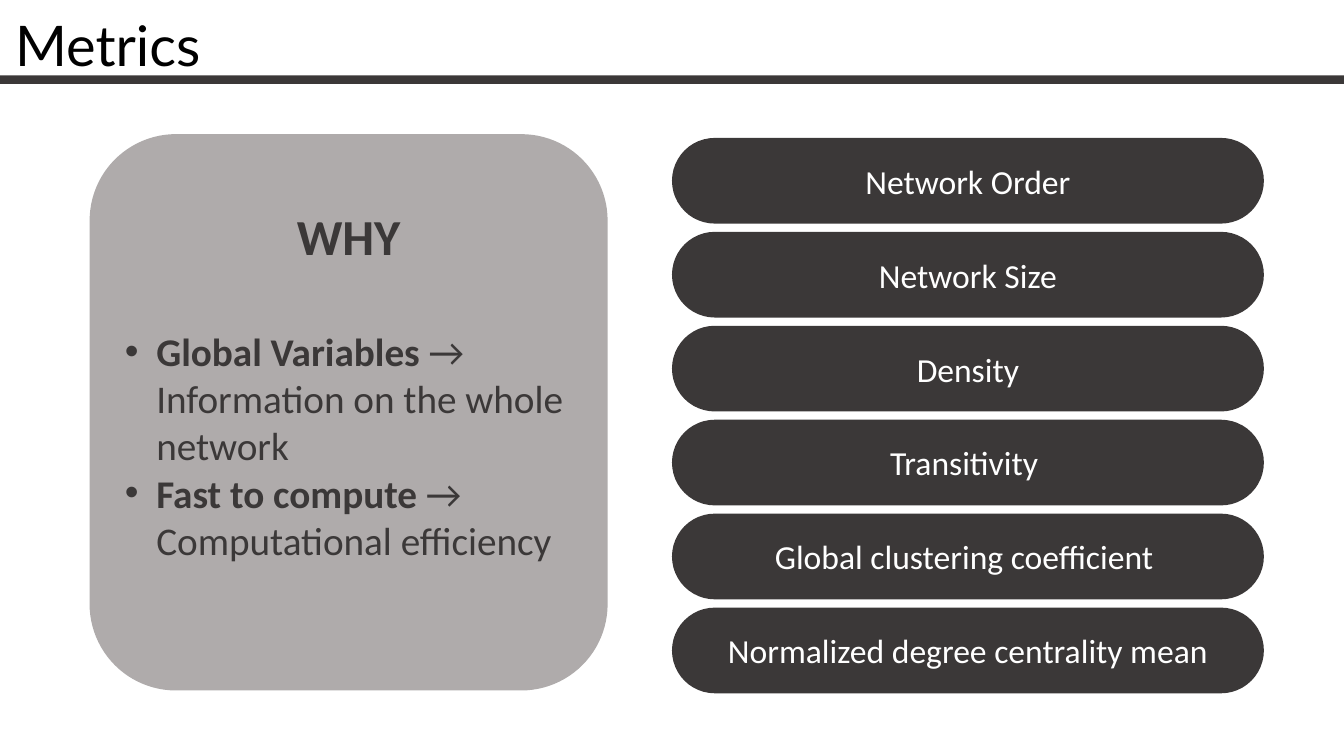
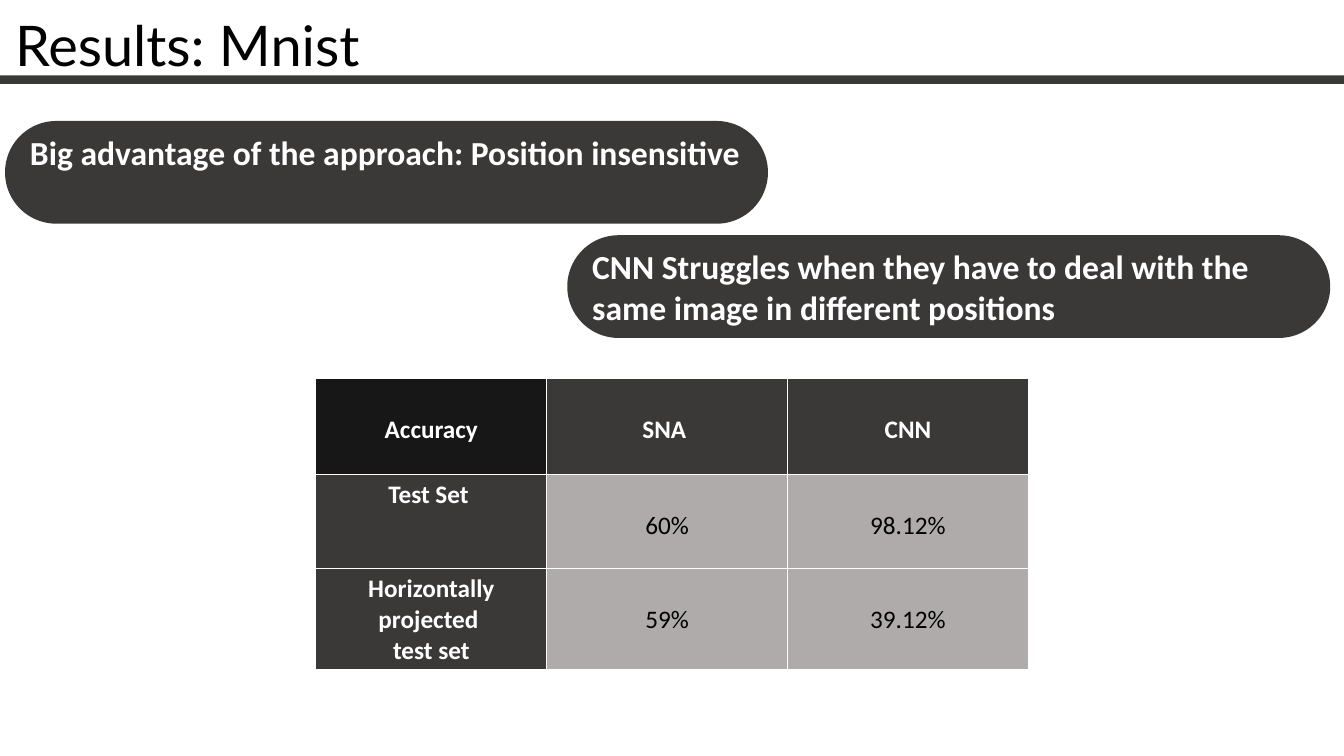
from dataclasses import dataclass

from lxml import etree
from pptx import Presentation
from pptx.dml.color import RGBColor
from pptx.enum import shapes, text
from pptx.oxml import ns
from pptx.util import Pt


@dataclass(frozen=True)
class Theme:
    dark: str = "3B3838"
    darkest: str = "181717"
    grey: str = "AFABAB"
    white: str = "FFFFFF"
    black: str = "000000"
    title_font: str = "Lato"
    body_font: str = "Calibri"
    title_size: int = 40
    heading_size: int = 36
    bullet_size: int = 28
    pill_size: int = 24
    table_size: int = 18
    inset: float = 3.6
    table_line: float = 22


THEME = Theme()
LEFT = text.PP_ALIGN.LEFT
CENTER = text.PP_ALIGN.CENTER


def rgb(value):
    return RGBColor.from_string(value)


def add_words(paragraph, words, size, color, bold=False, font=THEME.body_font):
    for index, line in enumerate(words.split("\n")):
        if index:
            paragraph.add_line_break()
        run = paragraph.add_run()
        run.text = line
        run.font.name = font
        run.font.size = Pt(size)
        run.font.bold = bold
        run.font.color.rgb = rgb(color)


def add_block(slide, kind, left, top, width, height, color):
    block = slide.shapes.add_shape(kind, Pt(left), Pt(top), Pt(width), Pt(height))
    block.shadow.inherit = False
    block.fill.solid()
    block.fill.fore_color.rgb = rgb(color)
    block.line.fill.background()
    block.text_frame.word_wrap = True
    block.text_frame.vertical_anchor = text.MSO_ANCHOR.MIDDLE
    return block


def add_titled_slide(deck, heading, width):
    slide = deck.slides.add_slide(deck.slide_layouts.get_by_name("Title Only"))
    add_block(slide, shapes.MSO_SHAPE.RECTANGLE, 0, 53.9, 960, 6, THEME.dark)
    title = slide.shapes.title
    title.left, title.top = Pt(3.6), Pt(3.6)
    title.width, title.height = Pt(width), Pt(55.4)
    frame = title.text_frame
    frame.word_wrap = False
    frame.auto_size = text.MSO_AUTO_SIZE.SHAPE_TO_FIT_TEXT
    frame.vertical_anchor = text.MSO_ANCHOR.TOP
    paragraph = frame.paragraphs[0]
    paragraph.alignment = LEFT
    add_words(paragraph, heading, THEME.title_size, THEME.black, font=THEME.title_font)
    return slide


def add_pill(slide, words, left, top, width, height, align=CENTER, bold=False, lift=0):
    pill = add_block(slide, shapes.MSO_SHAPE.ROUNDED_RECTANGLE,
                     left, top, width, height, THEME.dark)
    pill.adjustments[0] = 0.5
    pill.text_frame.margin_bottom = Pt(THEME.inset + lift)
    paragraph = pill.text_frame.paragraphs[0]
    paragraph.alignment = align
    add_words(paragraph, words, THEME.pill_size, THEME.white, bold)


def set_bullet(paragraph, indent):
    properties = paragraph._p.get_or_add_pPr()
    properties.set("marL", str(Pt(indent)))
    properties.set("indent", str(-Pt(indent)))
    etree.SubElement(properties, ns.qn("a:buFont"), typeface="Arial")
    etree.SubElement(properties, ns.qn("a:buChar"), char="•")


def add_reasons(slide, heading, reasons):
    panel = add_block(slide, shapes.MSO_SHAPE.ROUNDED_RECTANGLE,
                      64, 95.8, 370, 397.4, THEME.grey)
    frame = panel.text_frame
    frame.margin_bottom = Pt(THEME.inset + 40)
    top_line = frame.paragraphs[0]
    top_line.alignment = CENTER
    top_line.space_after = Pt(44)
    add_words(top_line, heading, THEME.heading_size, THEME.dark, True)
    for reason, benefit in reasons:
        paragraph = frame.add_paragraph()
        paragraph.alignment = LEFT
        set_bullet(paragraph, 22.5)
        add_words(paragraph, reason, THEME.bullet_size, THEME.dark, True)
        add_words(paragraph, benefit, THEME.bullet_size, THEME.dark)


def set_borders(cell, color):
    properties = cell._tc.get_or_add_tcPr()
    for side in ("lnL", "lnR", "lnT", "lnB"):
        border = etree.SubElement(properties, ns.qn(f"a:{side}"), w=str(Pt(1)))
        fill = etree.SubElement(border, ns.qn("a:solidFill"))
        etree.SubElement(fill, ns.qn("a:srgbClr"), val=color)


def fill_cell(cell, words, fill, color, bold, lowered):
    set_borders(cell, THEME.white)
    cell.fill.solid()
    cell.fill.fore_color.rgb = rgb(fill)
    cell.margin_top = Pt(THEME.inset + (THEME.table_line if lowered else 0))
    paragraph = cell.text_frame.paragraphs[0]
    paragraph.alignment = CENTER
    add_words(paragraph, words, THEME.table_size, color, bold)


def add_accuracy_table(slide, rows):
    widths, heights = (165, 172, 172), (68.8, 67, 67)
    table = slide.shapes.add_table(len(rows), len(widths), Pt(225.6), Pt(270.4),
                                   Pt(sum(widths)), Pt(sum(heights))).table
    for column, width in zip(table.columns, widths):
        column.width = Pt(width)
    for row, height in zip(table.rows, heights):
        row.height = Pt(height)
    for r, row in enumerate(rows):
        for c, words in enumerate(row):
            heading = r == 0 or c == 0
            fill = THEME.dark if heading else THEME.grey
            if r == c == 0:
                fill = THEME.darkest
            color = THEME.white if heading else THEME.black
            fill_cell(table.cell(r, c), words, fill, color, heading, r == 0 or c > 0)


def build_metrics(deck):
    slide = add_titled_slide(deck, "Metrics", 151.2)
    metrics = ("Network Order", "Network Size", "Density", "Transitivity ",
               "Global clustering coefficient ", "Normalized degree centrality mean")
    for index, metric in enumerate(metrics):
        add_pill(slide, metric, 480, 98.5 + index * 67.1, 422.8, 61.2)
    add_reasons(slide, "WHY", (
        ("Global Variables ", "→ Information on the whole network"),
        ("Fast to compute ", "→ \nComputational efficiency "),
    ))


def build_results(deck):
    slide = add_titled_slide(deck, "Results: Mnist", 272.9)
    claims = (
        ("Big advantage of the approach: Position insensitive", 3.6, 86.4, 29),
        ("CNN Struggles when they have to deal with the same image in different positions",
         405.2, 168, 0),
    )
    for claim, left, top, lift in claims:
        add_pill(slide, claim, left, top, 545, 73.4, LEFT, True, lift)
    add_accuracy_table(slide, (
        ("Accuracy", "SNA ", "CNN"),
        ("Test Set ", "60%", "98.12%"),
        ("Horizontally projected \ntest set", "59%", "39.12%"),
    ))


def main():
    deck = Presentation()
    deck.slide_width, deck.slide_height = Pt(960), Pt(540)
    build_metrics(deck)
    build_results(deck)
    deck.save("out.pptx")


main()
